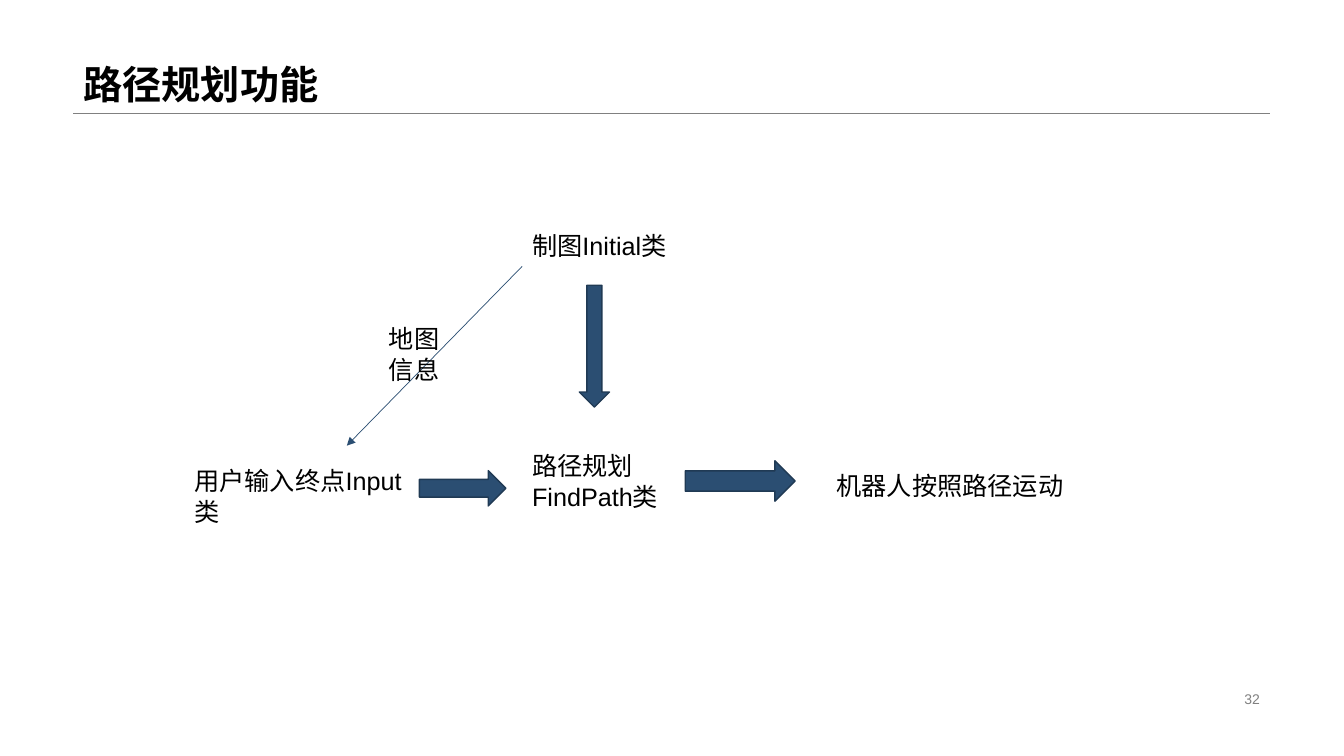
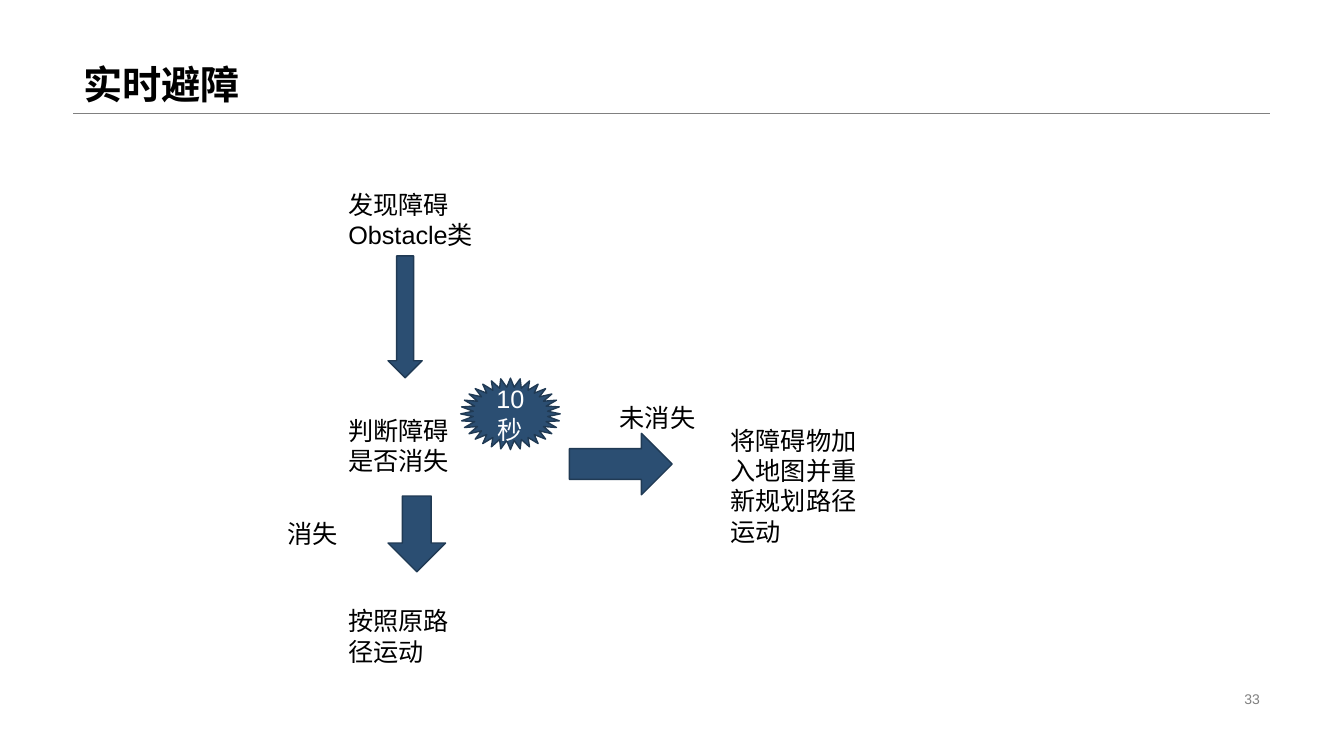
from dataclasses import dataclass

from lxml.etree import SubElement
from pptx import Presentation
from pptx.dml.color import RGBColor
from pptx.enum.shapes import MSO_CONNECTOR, MSO_SHAPE
from pptx.enum.text import MSO_ANCHOR, MSO_AUTO_SIZE, PP_ALIGN
from pptx.oxml.ns import qn
from pptx.util import Cm, Pt


@dataclass(frozen=True)
class Theme:
    """Colours, font, type sizes and line widths of the deck."""
    font: str = "Arial"
    ink: str = "000000"
    white: str = "FFFFFF"
    grey: str = "808080"
    fill: str = "2B4E72"
    edge: str = "203A54"
    title: int = 28
    body: int = 18
    small: int = 10
    hair: float = 0.25
    thin: float = 0.5
    bold: float = 1


THEME = Theme()
LEFT, WIDTH, RULE = 1.85, 30.15, 2.84
RIGHT = LEFT + WIDTH


def write(shape, text, size=THEME.body, color=THEME.ink, bold=False,
          align=PP_ALIGN.LEFT, anchor=MSO_ANCHOR.TOP, space=None,
          fit=MSO_AUTO_SIZE.NONE):
    """Put formatted, wrapped text into a shape."""
    frame = shape.text_frame
    frame.word_wrap = True
    frame.auto_size = fit
    frame.vertical_anchor = anchor
    para = frame.paragraphs[0]
    para.alignment = align
    para.line_spacing = space
    run = para.add_run()
    run.text = text
    font = run.font
    font.name, font.size, font.bold = THEME.font, Pt(size), bold
    font.color.rgb = RGBColor.from_string(color)


class Deck:
    """Presentation with its style and current slide."""

    def __init__(self, first):
        """Set up the size and the title area, counting pages from first."""
        self.show = Presentation()
        self.show.slide_width, self.show.slide_height = Cm(33.87), Cm(19.05)
        self.first = self.num = first
        self.base = self.show.slide_layouts[5]
        head = self.base.placeholders[0]
        head.left, head.top = Cm(LEFT), Cm(0)
        head.width, head.height = Cm(WIDTH), Cm(RULE)

    def page(self, title):
        """Start a slide with its title and number."""
        self.slide = self.show.slides.add_slide(self.base)
        if self.num == self.first:
            self.rule()
        write(self.slide.shapes.title, title, size=THEME.title, bold=True,
              anchor=MSO_ANCHOR.BOTTOM, space=0.9)
        wide = 8.08
        foot = self.slide.shapes.add_textbox(
            Cm(RIGHT - wide), Cm(17.32), Cm(wide), Cm(0.58))
        write(foot, str(self.num), size=THEME.small, color=THEME.grey,
              align=PP_ALIGN.RIGHT, anchor=MSO_ANCHOR.MIDDLE)
        self.num += 1

    def rule(self):
        """Place the title rule on the layout that all slides share."""
        line = self.line(LEFT, RULE, RIGHT, RULE, THEME.grey, THEME.hair)
        line.element.nvCxnSpPr.cNvPr.id = 20
        self.base.shapes.element.append(line.element)

    def line(self, x1, y1, x2, y2, color=THEME.fill, width=THEME.thin,
             tip=False):
        """Draw a straight line, with an arrowhead if tip is set."""
        line = self.slide.shapes.add_connector(
            MSO_CONNECTOR.STRAIGHT, Cm(x1), Cm(y1), Cm(x2), Cm(y2))
        line.line.color.rgb = RGBColor.from_string(color)
        line.line.width = Pt(width)
        if tip:
            SubElement(line.get_or_add_ln(), qn("a:tailEnd"), type="triangle")
        SubElement(line.element.spPr, qn("a:effectLst"))
        return line

    def label(self, text, x, y, wide, rows=1):
        """Add a text box tall enough for its rows."""
        box = self.slide.shapes.add_textbox(
            Cm(x), Cm(y), Cm(wide), Cm(0.25 + 0.77 * rows))
        write(box, text, fit=MSO_AUTO_SIZE.SHAPE_TO_FIT_TEXT)

    def block(self, kind, x, y, wide, high, text=None):
        """Add a filled preset shape, with centred text if given."""
        shape = self.slide.shapes.add_shape(
            kind, Cm(x), Cm(y), Cm(wide), Cm(high))
        shape.shadow.inherit = False
        shape.fill.solid()
        shape.fill.fore_color.rgb = RGBColor.from_string(THEME.fill)
        shape.line.color.rgb = RGBColor.from_string(THEME.edge)
        shape.line.width = Pt(THEME.bold)
        if text:
            write(shape, text, color=THEME.white, align=PP_ALIGN.CENTER,
                  anchor=MSO_ANCHOR.MIDDLE)


def route(deck):
    """Build the route planning slide."""
    deck.page("路径规划功能")
    mid = 13.16
    deck.label("制图Initial类", mid, 5.69, 4.98)
    deck.block(MSO_SHAPE.DOWN_ARROW, 14.6, 7.19, 0.76, 3.07)
    deck.label("路径规划FindPath类", mid, 11.23, 4.98, rows=2)
    deck.block(MSO_SHAPE.RIGHT_ARROW, 17.27, 11.61, 2.77, 1.02)
    deck.label("用户输入终点Input类", 4.65, 11.61, 5.77, rows=2)
    deck.line(mid, 6.71, 8.74, 11.23, tip=True)
    deck.label("地图信息", 9.55, 8.03, 2.03, rows=2)
    deck.block(MSO_SHAPE.RIGHT_ARROW, 10.57, 11.86, 2.18, 0.89)
    deck.label("机器人按照路径运动", 20.83, 11.73, 6.93)


def avoid(deck):
    """Build the obstacle avoidance slide."""
    deck.page("实时避障")
    left, stem = 8.53, 9.78
    deck.label("发现障碍Obstacle类", left, 4.65, 4.5, rows=2)
    deck.block(MSO_SHAPE.DOWN_ARROW, stem, 6.45, 0.86, 3.07)
    deck.label("判断障碍是否消失", left, 10.34, 3.35, rows=2)
    deck.block(MSO_SHAPE.STAR_32_POINT, 11.61, 9.53, 2.51, 1.8, text="10秒")
    deck.block(MSO_SHAPE.RIGHT_ARROW, 14.35, 10.92, 2.59, 1.55)
    deck.block(MSO_SHAPE.DOWN_ARROW, stem, 12.5, 1.45, 1.91)
    deck.label("消失", 6.99, 12.93, 2.13)
    deck.label("未消失", 15.37, 10.01, 3.33)
    deck.label("按照原路径运动", left, 15.14, 3.07, rows=2)
    deck.label("将障碍物加入地图并重新规划路径运动", 18.16, 10.59, 3.78, rows=4)


def main():
    """Build and save the deck."""
    deck = Deck(first=32)
    route(deck)
    avoid(deck)
    deck.show.save("out.pptx")


if __name__ == "__main__":
    main()
